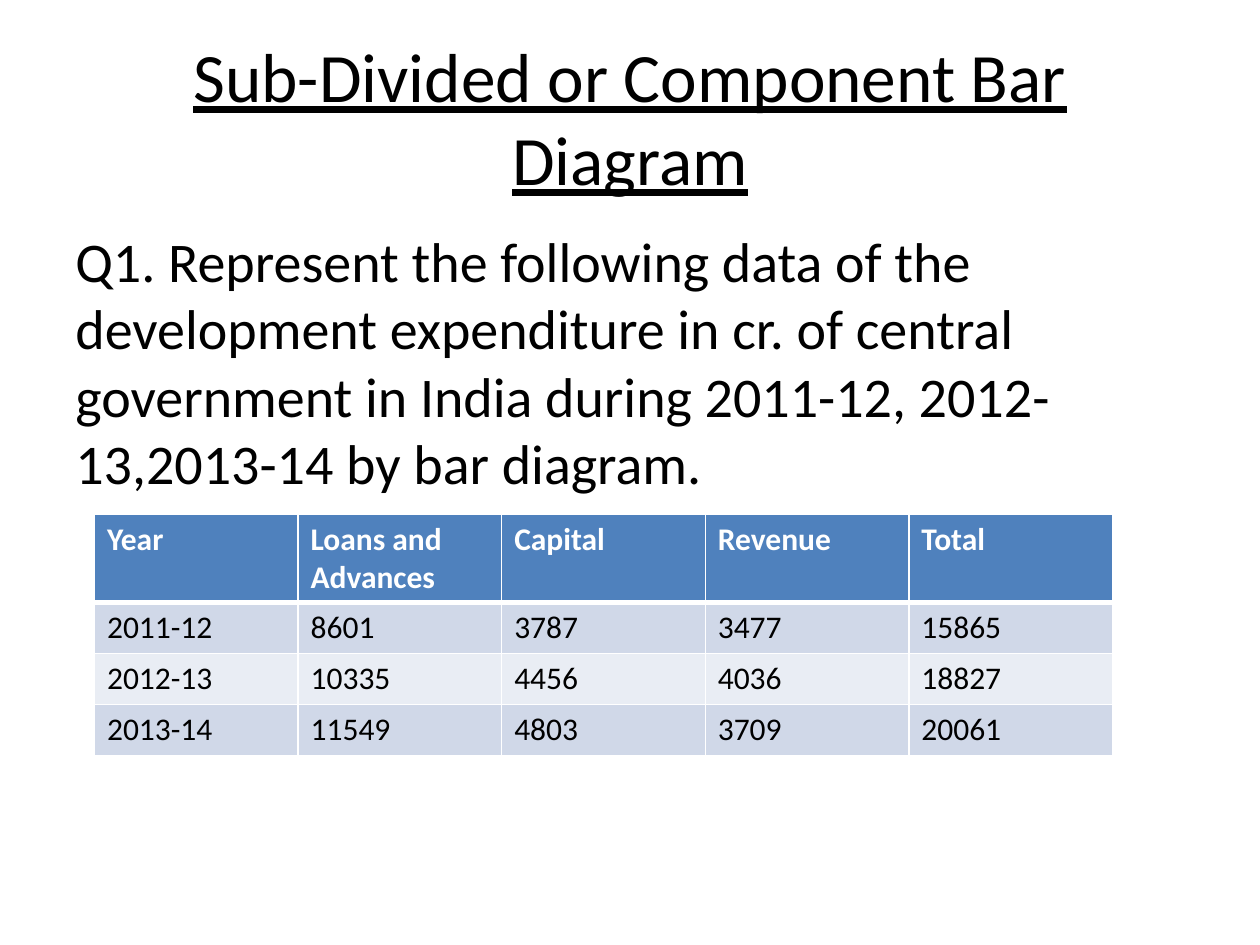
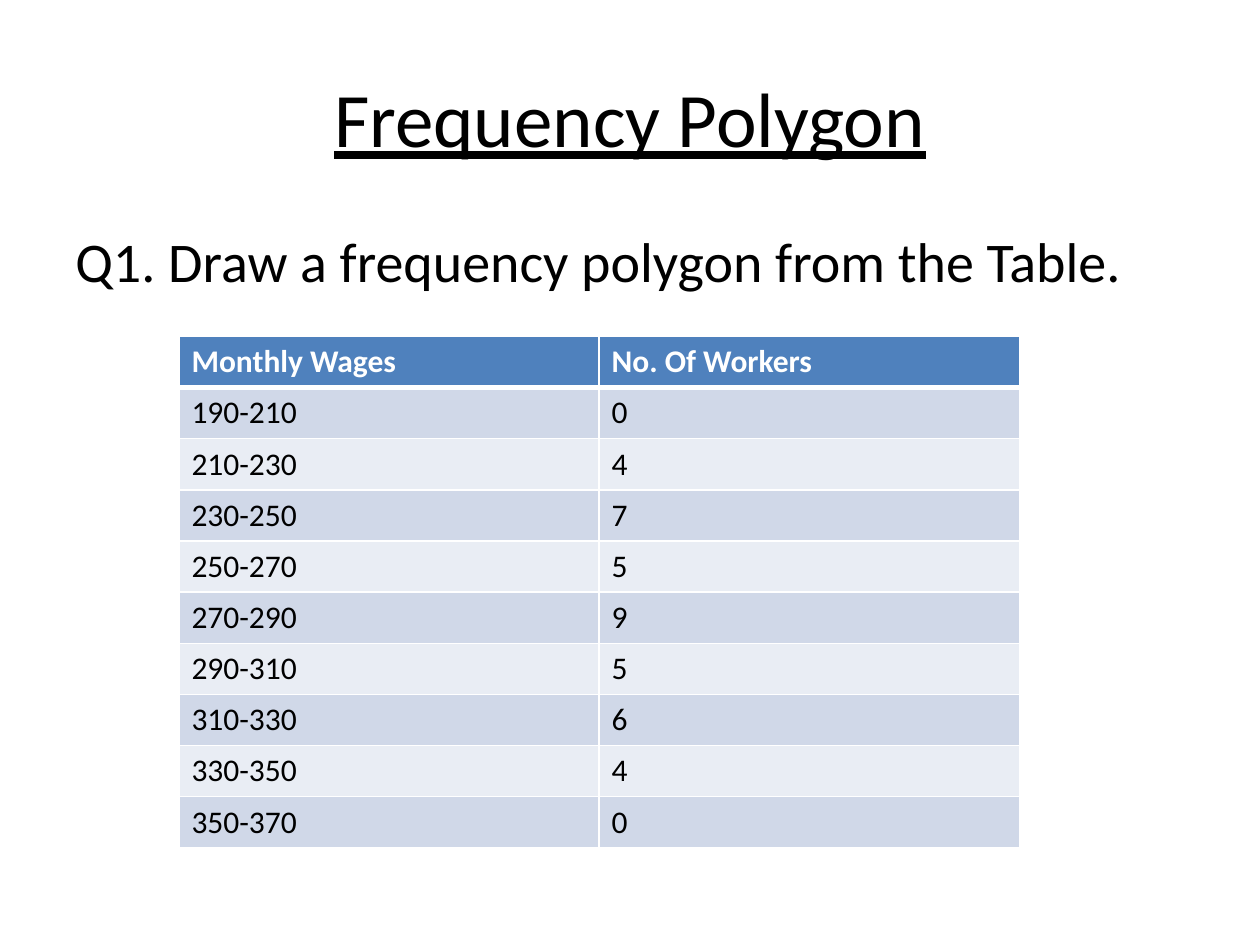
"""Build two statistics exercise slides, each with a title, a question and a data table."""
from dataclasses import dataclass
from lxml import etree
from pptx import Presentation
from pptx import util as u
from pptx.dml.color import RGBColor
from pptx.enum import text
from pptx.oxml.ns import qn

PAGES = [
    {
        "title": "Sub-Divided or Component Bar Diagram",
        "size": 39.6,
        "ask": "Q1. Represent the following data of the development expenditure in cr. "
               "of central government in India during 2011-12, 2012-13,2013-14 by bar diagram.",
        "box": (75, 408, 808, 162),
        "rows": [
            ("Year", "Loans and Advances", "Capital", "Revenue", "Total"),
            ("2011-12", 8601, 3787, 3477, 15865),
            ("2012-13", 10335, 4456, 4036, 18827),
            ("2013-14", 11549, 4803, 3709, 20061),
        ],
    },
    {
        "title": "Frequency Polygon",
        "size": 44,
        "ask": "Q1. Draw a frequency polygon from the Table.",
        "box": (142, 267, 667, 406),
        "rows": [
            ("Monthly Wages", "No. Of Workers"),
            ("190-210", 0),
            ("210-230", 4),
            ("230-250", 7),
            ("250-270", 5),
            ("270-290", 9),
            ("290-310", 5),
            ("310-330", 6),
            ("330-350", 4),
            ("350-370", 0),
        ],
    },
]

PX = 9144
PAGE = (1000, 750)
TITLE = (50, 30, 900, 125)
ASK = (50, 175, 900, 495)


@dataclass(frozen=True)
class Theme:
    font: str = "Calibri"
    ink: str = "000000"
    white: str = "FFFFFF"
    head: str = "4F81BD"
    bands: tuple = ("D0D8E8", "E9EDF4")
    ask: int = 32
    cell: int = 18
    thin: int = 1
    thick: int = 3


LOOK = Theme()


def scale(box):
    return [n * PX for n in box]


def write(para, words, size, ink=LOOK.ink, bold=False, line=False):
    run = para.add_run()
    run.text = str(words)
    font = run.font
    font.name, font.size = LOOK.font, u.Pt(size)
    font.bold, font.underline = bold, line
    font.color.rgb = RGBColor.from_string(ink)


def add_box(slide, box):
    frame = slide.shapes.add_textbox(*scale(box)).text_frame
    frame.word_wrap = True
    return frame


def add_title(slide, words, size):
    frame = add_box(slide, TITLE)
    frame.vertical_anchor = text.MSO_ANCHOR.MIDDLE
    para = frame.paragraphs[0]
    para.alignment = text.PP_ALIGN.CENTER
    write(para, words, size, line=True)


def add_ask(slide, words):
    para = add_box(slide, ASK).paragraphs[0]
    write(para, words, LOOK.ask)
    gap = etree.SubElement(para._p.get_or_add_pPr(), qn("a:spcBef"))
    etree.SubElement(gap, qn("a:spcPct")).set("val", "20000")


def edge(cell, row):
    props = cell._tc.get_or_add_tcPr()
    wide = {"T": row == 1, "B": row == 0}
    for side in "LRTB":
        width = LOOK.thick if wide.get(side) else LOOK.thin
        line = etree.SubElement(props, qn(f"a:ln{side}"), w=str(u.Pt(width)))
        fill = etree.SubElement(line, qn("a:solidFill"))
        etree.SubElement(fill, qn("a:srgbClr"), val=LOOK.white)


def add_grid(slide, rows, box):
    grid = slide.shapes.add_table(len(rows), len(rows[0]), *scale(box)).table
    for r, row in enumerate(rows):
        top = r == 0
        fill = LOOK.head if top else LOOK.bands[(r - 1) % 2]
        ink = LOOK.white if top else LOOK.ink
        for c, value in enumerate(row):
            cell = grid.cell(r, c)
            edge(cell, r)
            cell.fill.solid()
            cell.fill.fore_color.rgb = RGBColor.from_string(fill)
            write(cell.text_frame.paragraphs[0], value, LOOK.cell, ink, bold=top)


def main():
    deck = Presentation()
    deck.slide_width, deck.slide_height = scale(PAGE)
    for page in PAGES:
        slide = deck.slides.add_slide(deck.slide_layouts[6])
        add_title(slide, page["title"], page["size"])
        add_ask(slide, page["ask"])
        add_grid(slide, page["rows"], page["box"])
    deck.save("out.pptx")


if __name__ == "__main__":
    main()
